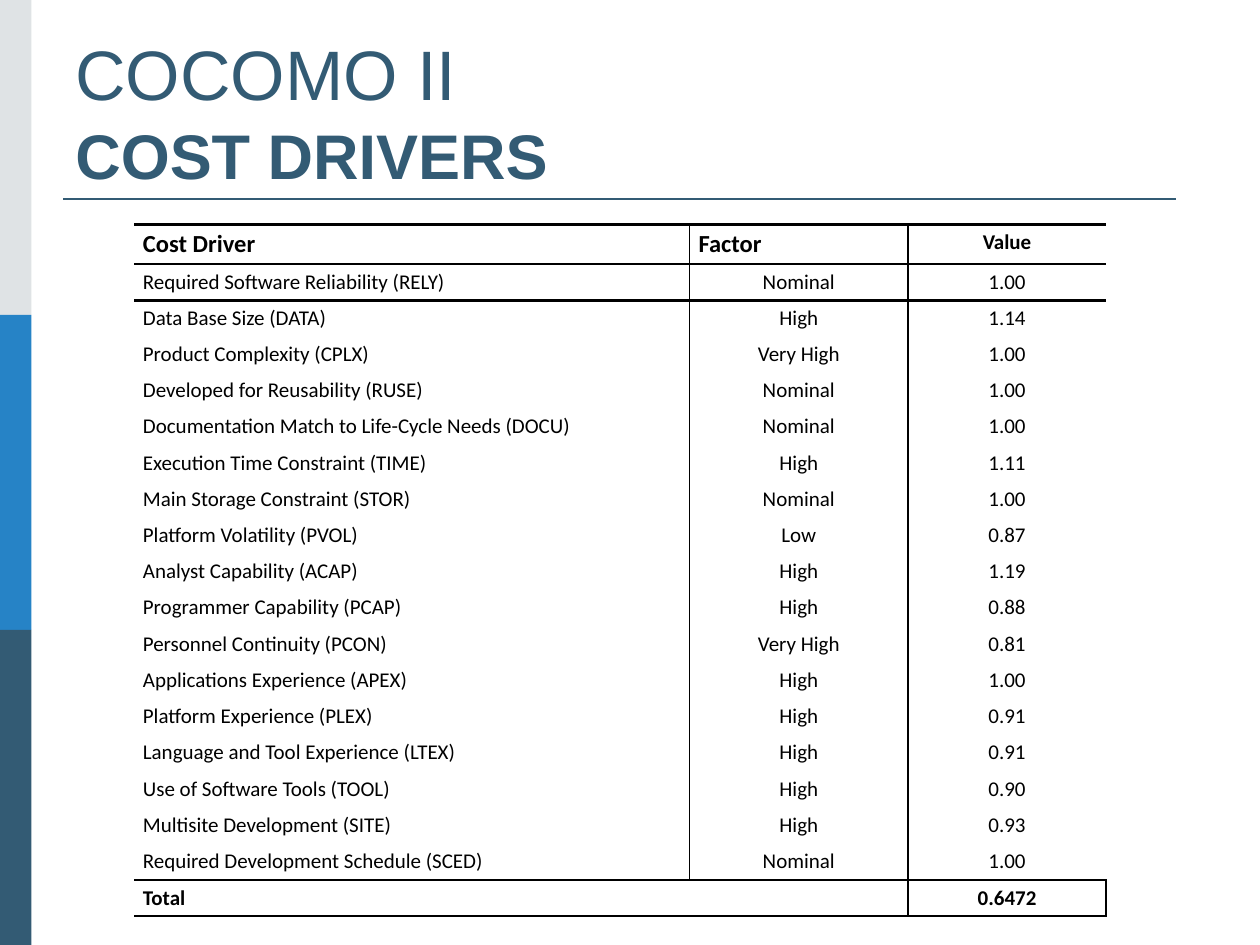
from typing import NamedTuple

from lxml import etree
from pptx import Presentation
from pptx.dml.color import RGBColor
from pptx.enum.shapes import MSO_CONNECTOR, MSO_SHAPE
from pptx.enum.text import MSO_ANCHOR, PP_ALIGN
from pptx.oxml.ns import qn
from pptx.util import Pt

RECTANGLE = MSO_SHAPE.RECTANGLE
STRAIGHT = MSO_CONNECTOR.STRAIGHT
TOP, MIDDLE, BOTTOM = MSO_ANCHOR.TOP, MSO_ANCHOR.MIDDLE, MSO_ANCHOR.BOTTOM
LEFT, CENTER = PP_ALIGN.LEFT, PP_ALIGN.CENTER

GREY = RGBColor(0xDF, 0xE3, 0xE5)
BLUE = RGBColor(0x26, 0x83, 0xC6)
NAVY = RGBColor(0x33, 0x5B, 0x74)
BLACK = RGBColor(0, 0, 0)

PLAIN_TABLE_STYLE = "{2D5ABB26-0587-4C30-8999-92F81FD0307C}"
BAND_WIDTH, BAND_HEIGHT = 18, 180
COLUMN_WIDTHS = (317.5, 124.8, 113.2)
HEADER_HEIGHT, ROW_HEIGHT = 22.8, 20.7


class Driver(NamedTuple):
    name: str
    factor: str
    value: str


class TextStyle(NamedTuple):
    font: str
    size: float
    color: RGBColor
    bold: bool = False


DRIVERS = (
    Driver("Required Software Reliability (RELY)", "Nominal", "1.00"),
    Driver("Data Base Size (DATA)", "High", "1.14"),
    Driver("Product Complexity (CPLX)", "Very High", "1.00"),
    Driver("Developed for Reusability (RUSE)", "Nominal", "1.00"),
    Driver("Documentation Match to Life-Cycle Needs (DOCU)", "Nominal", "1.00"),
    Driver("Execution Time Constraint (TIME)", "High", "1.11"),
    Driver("Main Storage Constraint (STOR)", "Nominal", "1.00"),
    Driver("Platform Volatility (PVOL)", "Low", "0.87"),
    Driver("Analyst Capability (ACAP)", "High", "1.19"),
    Driver("Programmer Capability (PCAP)", "High", "0.88"),
    Driver("Personnel Continuity (PCON)", "Very High", "0.81"),
    Driver("Applications Experience (APEX)", "High", "1.00"),
    Driver("Platform Experience (PLEX)", "High", "0.91"),
    Driver("Language and Tool Experience (LTEX)", "High", "0.91"),
    Driver("Use of Software Tools (TOOL)", "High", "0.90"),
    Driver("Multisite Development (SITE)", "High", "0.93"),
    Driver("Required Development Schedule (SCED)", "Nominal", "1.00"),
)
HEADER = Driver("Cost Driver", "Factor", "Value")
TOTAL = Driver("Total", "", "0.6472")
ROWS = (HEADER, *DRIVERS, TOTAL)
TOTAL_ROW = len(ROWS) - 1

# Rule weights, keyed by the grid edge they lie on
ROW_RULES = {0: 1.5, 1: 1.5, TOTAL_ROW: 1, TOTAL_ROW + 1: 1.5}
COLUMN_RULES = {1: 1, 2: 1}

TITLE_STYLE = TextStyle("Arial", 40, NAVY)
SUBTITLE_STYLE = TextStyle("Arial", 36, NAVY, True)
HEADER_STYLE = TextStyle("Calibri", 14, BLACK, True)
BODY_STYLE = TextStyle("Calibri", 12, BLACK)
STRONG_STYLE = BODY_STYLE._replace(bold=True)


def add_span(para, text: str, style: TextStyle) -> None:
    span = para.add_run()
    span.text = text
    span.font.name = style.font
    span.font.size = Pt(style.size)
    span.font.bold = style.bold
    span.font.color.rgb = style.color


def add_band(page, index: int, color: RGBColor) -> None:
    band = page.shapes.add_shape(RECTANGLE, Pt(0), Pt(index * BAND_HEIGHT),
                                 Pt(BAND_WIDTH), Pt(BAND_HEIGHT))
    band.shadow.inherit = False
    band.fill.solid()
    band.fill.fore_color.rgb = color
    band.line.fill.background()


def add_title_rule(page) -> None:
    rule = page.shapes.add_connector(STRAIGHT, Pt(36), Pt(113.8), Pt(672), Pt(113.8))
    rule.line.color.rgb = NAVY
    rule.line.width = Pt(1.5)
    etree.SubElement(rule._element.spPr, qn("a:effectLst"))


def add_title(page) -> None:
    box = page.shapes.add_textbox(Pt(36), Pt(21.6), Pt(648), Pt(90))
    frame = box.text_frame
    frame.word_wrap = True
    frame.vertical_anchor = BOTTOM
    frame.margin_top, frame.margin_bottom = Pt(0), Pt(2)
    para = frame.paragraphs[0]
    para.line_spacing = Pt(44)
    add_span(para, "COCOMO II", TITLE_STYLE)
    para.add_line_break()
    add_span(para, "COST DRIVERS", SUBTITLE_STYLE)


def add_borders(cell, row: int, column: int) -> None:
    edges = {
        "a:lnL": COLUMN_RULES.get(column),
        "a:lnR": COLUMN_RULES.get(column + 1),
        "a:lnT": ROW_RULES.get(row),
        "a:lnB": ROW_RULES.get(row + 1),
    }
    if row == TOTAL_ROW:  # the first two columns are merged here
        hidden = {0: "a:lnR", 1: "a:lnL"}.get(column)
        edges.pop(hidden, None)
    properties = cell._tc.get_or_add_tcPr()
    for tag, weight in edges.items():
        if weight:
            line = etree.SubElement(properties, qn(tag), w=str(Pt(weight)))
            fill = etree.SubElement(line, qn("a:solidFill"))
            etree.SubElement(fill, qn("a:srgbClr"), val=str(BLACK))


def cell_style(row: int, column: int) -> TextStyle:
    if row == 0 and column < 2:
        return HEADER_STYLE
    return STRONG_STYLE if row in (0, TOTAL_ROW) else BODY_STYLE


def fill_cell(cell, text: str, row: int, column: int) -> None:
    cell.margin_left = cell.margin_right = Pt(5.1)
    cell.margin_top = cell.margin_bottom = Pt(2.8)
    centred_vertically = row == TOTAL_ROW or (row, column) == (0, 0)
    cell.vertical_anchor = MIDDLE if centred_vertically else TOP
    add_borders(cell, row, column)
    cell.fill.background()
    para = cell.text_frame.paragraphs[0]
    para.alignment = CENTER if column == 2 or (column == 1 and row > 0) else LEFT
    if text:
        add_span(para, text, cell_style(row, column))


def add_driver_table(page) -> None:
    height = HEADER_HEIGHT + ROW_HEIGHT * TOTAL_ROW
    frame = page.shapes.add_table(len(ROWS), len(COLUMN_WIDTHS), Pt(76.6), Pt(128.2),
                                  Pt(sum(COLUMN_WIDTHS)), Pt(height))
    table = frame.table
    table.first_row = table.horz_banding = False
    table._tbl.tblPr.find(qn("a:tableStyleId")).text = PLAIN_TABLE_STYLE
    for column, width in zip(table.columns, COLUMN_WIDTHS):
        column.width = Pt(width)
    for index, row in enumerate(table.rows):
        row.height = Pt(ROW_HEIGHT if index else HEADER_HEIGHT)
    table.cell(TOTAL_ROW, 0).merge(table.cell(TOTAL_ROW, 1))
    for row, driver in enumerate(ROWS):
        for column, text in enumerate(driver):
            fill_cell(table.cell(row, column), text, row, column)


def main() -> None:
    deck = Presentation()
    deck.slide_width, deck.slide_height = Pt(720), Pt(540)
    page = deck.slides.add_slide(deck.slide_layouts[6])

    # Side bands
    for index, color in enumerate((GREY, BLUE, NAVY)):
        add_band(page, index, color)

    # Heading
    add_title_rule(page)
    add_title(page)

    # Cost drivers
    add_driver_table(page)

    deck.save("out.pptx")


if __name__ == "__main__":
    main()
